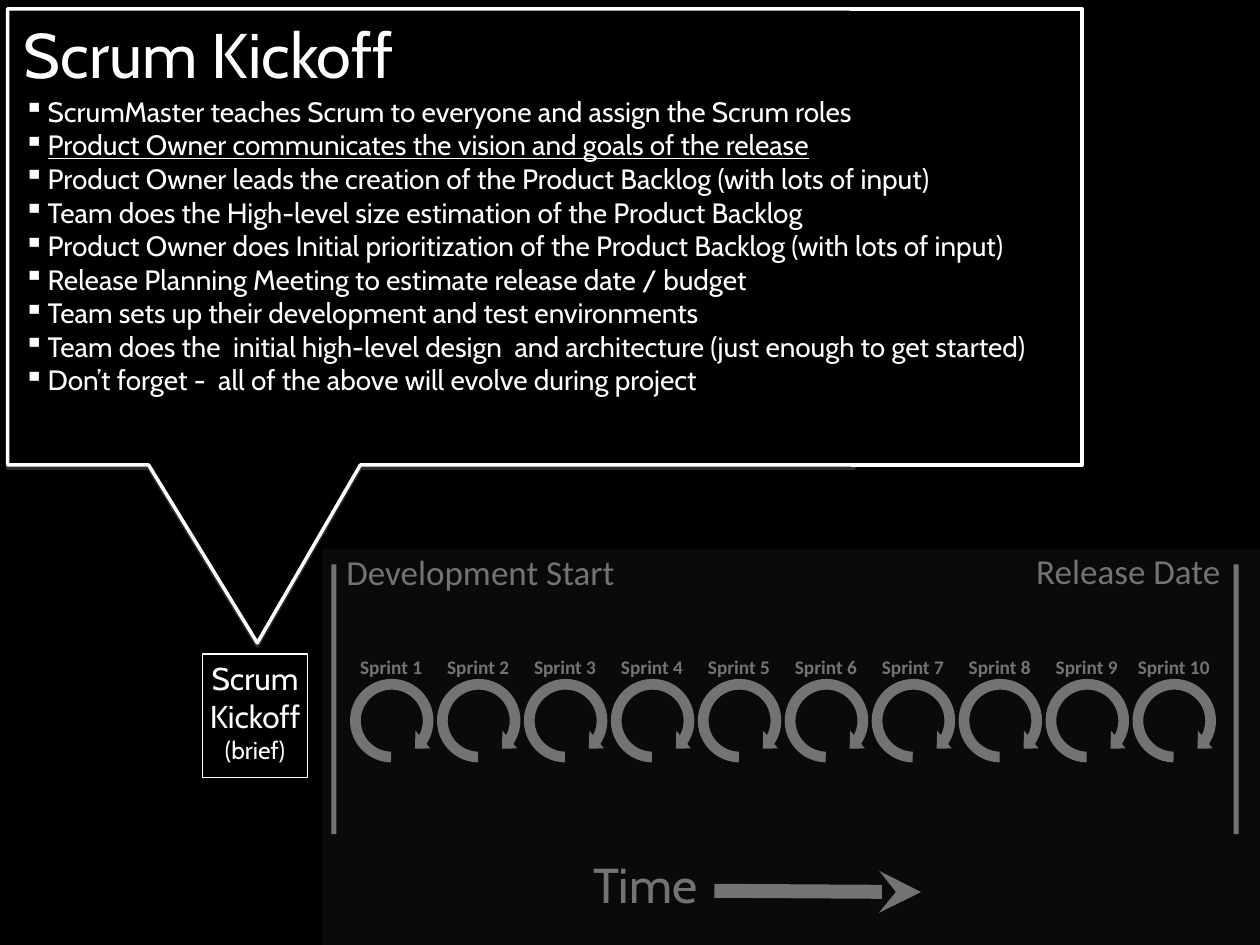
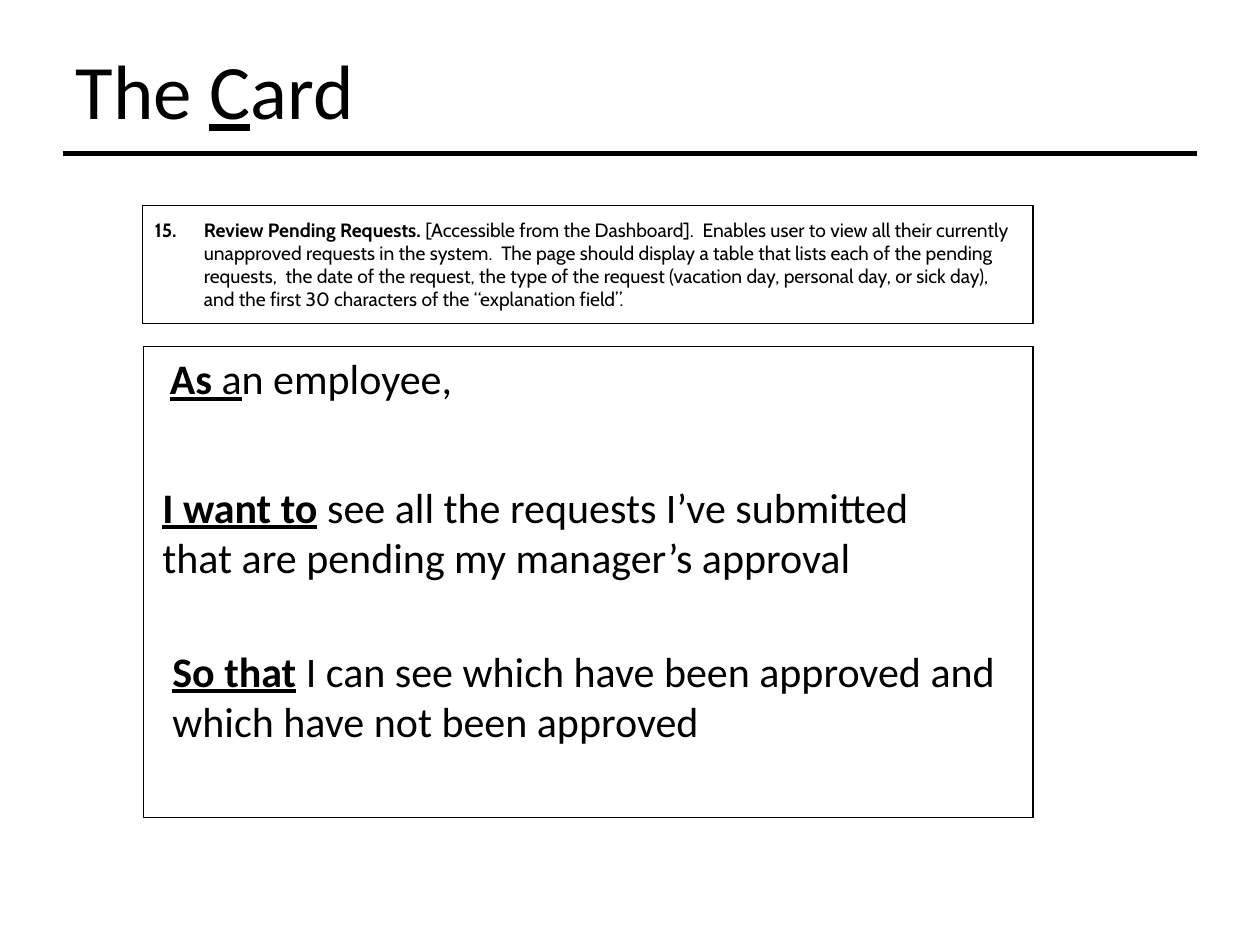
from dataclasses import dataclass

from lxml.etree import SubElement
from pptx import Presentation
from pptx.dml.color import RGBColor
from pptx.enum.shapes import MSO_CONNECTOR as Connector, MSO_SHAPE as Shape
from pptx.enum.text import MSO_ANCHOR as Anchor, MSO_AUTO_SIZE as AutoSize, PP_ALIGN as Align
from pptx.oxml.ns import qn
from pptx.util import Inches, Pt


@dataclass(frozen=True)
class Theme:
    black: str = "000000"
    white: str = "FFFFFF"
    shadow: str = "808080"
    display: str = "Cabin"
    plain: str = "Calibri"
    card_title: int = 44
    title: int = 36
    time: int = 28
    story: int = 24
    milestone: int = 20
    stage: int = 18
    body: int = 16
    note: int = 14
    small: int = 11


THEME = Theme()
TITLE_ONLY = 5


class SlideBuilder:
    """Holds the theme, the deck and the current page."""

    def __init__(self, theme):
        self.theme = theme
        self.deck = Presentation()
        self.deck.slide_width, self.deck.slide_height = Inches(10), Inches(7.5)
        self.page = None
        self.ink = theme.black

    def new_page(self, background, ink):
        self.page = self.deck.slides.add_slide(self.deck.slide_layouts[TITLE_ONLY])
        self.page.background.fill.solid()
        self.page.background.fill.fore_color.rgb = RGBColor.from_string(background)
        self.ink = ink

    def title(self, area, spans, size, font, anchor):
        """Format the title placeholder and bring it to the front."""
        box = self.page.shapes.title
        box.left, box.top, box.width, box.height = map(Inches, area)
        self.page.shapes._spTree.append(box._element)
        self.fill_text(box, [spans], size, font, anchor=anchor)

    def shape(self, kind, area, fill=None, line=None, weight=0.75,
              adjust=(), opacity=None, shadow=False):
        shape = self.page.shapes.add_shape(kind, *map(Inches, area))
        for index, value in enumerate(adjust):
            shape.adjustments[index] = value
        if fill:
            shape.fill.solid()
            shape.fill.fore_color.rgb = RGBColor.from_string(fill)
        else:
            shape.fill.background()
        if opacity:
            color = shape._element.spPr.find(qn("a:solidFill"))[0]
            SubElement(color, qn("a:alpha"), val=str(opacity * 1000))
        if line:
            shape.line.color.rgb = RGBColor.from_string(line)
            shape.line.width = Pt(weight)
        else:
            shape.line.fill.background()
        shape.shadow.inherit = False
        if shadow:
            effects = shape._element.spPr.find(qn("a:effectLst"))
            outer = SubElement(effects, qn("a:outerShdw"), dist=str(Pt(1.8)),
                               dir="5400000", rotWithShape="0")
            color = SubElement(outer, qn("a:srgbClr"), val=self.theme.shadow)
            SubElement(color, qn("a:alpha"), val="35000")
        return shape

    def line(self, start, end, weight, arrow=None):
        line = self.page.shapes.add_connector(
            Connector.STRAIGHT, *map(Inches, (*start, *end)))
        line.line.color.rgb = RGBColor.from_string(self.ink)
        line.line.width = Pt(weight)
        properties = line._element.spPr
        if arrow:
            SubElement(properties.find(qn("a:ln")), qn("a:tailEnd"), type=arrow)
        SubElement(properties, qn("a:effectLst"))

    def text(self, area, paras, size, font, **style):
        box = self.page.shapes.add_textbox(*map(Inches, area))
        self.fill_text(box, paras, size, font, **style)

    def fill_text(self, box, paras, size, font, align=Align.LEFT, anchor=Anchor.TOP,
                  inset=None, hang=0, bullet=None):
        """Each paragraph is a list of (text, format) spans."""
        frame = box.text_frame
        frame.word_wrap = True
        frame.auto_size = AutoSize.NONE
        frame.vertical_anchor = anchor
        if inset:
            frame.margin_left = frame.margin_right = Inches(inset)
            frame.margin_top = frame.margin_bottom = Inches(inset)
        for index, spans in enumerate(paras):
            para = frame.paragraphs[0] if index == 0 else frame.add_paragraph()
            para.alignment = align
            if hang:
                properties = para._p.get_or_add_pPr()
                properties.set("marL", str(Inches(hang)))
                properties.set("indent", str(-Inches(hang)))
                if bullet:
                    SubElement(properties, qn("a:buChar"), char=bullet)
            for text, style in spans:
                span = para.add_run()
                span.text = text
                span.font.name = font
                span.font.size = Pt(style.get("size", size))
                span.font.bold = style.get("bold", False)
                span.font.underline = style.get("underline", False)
                span.font.color.rgb = RGBColor.from_string(self.ink)


PLAIN = {}
BOLD = {"bold": True}
UNDERLINED = {"underline": True}
KEYWORD = BOLD | UNDERLINED

KICKOFF_STEPS = [
    ("ScrumMaster teaches Scrum to everyone and assign the Scrum roles", PLAIN),
    ("Product Owner communicates the vision and goals of the release", UNDERLINED),
    ("Product Owner leads the creation of the Product Backlog (with lots of input)", PLAIN),
    ("Team does the High-level size estimation of the Product Backlog", PLAIN),
    ("Product Owner does Initial prioritization of the Product Backlog (with lots of input)", PLAIN),
    ("Release Planning Meeting to estimate release date / budget", PLAIN),
    ("Team sets up their development and test environments", PLAIN),
    ("Team does the  initial high-level design  and architecture (just enough to get started)", PLAIN),
    ("Don’t forget -  all of the above will evolve during project", PLAIN),
]

STORY_PARTS = [
    ((1.25, 2.75, 4.39, 0.91),
     [("As ", KEYWORD), ("a", UNDERLINED), ("n employee,", PLAIN)]),
    ((1.19, 3.77, 6.72, 0.91),
     [("I want to", KEYWORD),
      (" see all the requests I’ve submitted that are pending my manager’s approval", PLAIN)]),
    ((1.27, 5.07, 6.74, 1.31),
     [("So that", KEYWORD),
      (" I can see which have been approved and which have not been approved", PLAIN)]),
]

REQUIREMENT = [
    ("15. \tReview Pending Requests. ", BOLD),
    ("[Accessible from the Dashboard].  Enables user to view all their currently "
     "unapproved requests in the system.  The page should display a table that lists "
     "each of the pending requests,  the date of the request, the type of the request "
     "(vacation day, personal day, or sick day), and the first 30 characters of the "
     "“explanation field”.", PLAIN),
]


def build_kickoff(builder):
    theme = builder.theme
    builder.new_page(theme.black, theme.white)

    # Callout, widened by a second frame with the seam covered
    builder.shape(Shape.RECTANGULAR_CALLOUT, (0.06, 0.07, 6.72, 3.62), theme.black,
                  theme.white, 2, adjust=(-0.205, 0.89), shadow=True)
    builder.shape(Shape.RECTANGLE, (6.76, 0.07, 1.83, 3.62), line=theme.white, weight=2)
    builder.shape(Shape.RECTANGLE, (6.68, 0.09, 0.18, 3.58), theme.black, theme.black)

    # Time arrow
    builder.line((5.67, 7.07), (7.31, 7.08), 8, arrow="stealth")
    builder.text((4.61, 6.73, 1.06, 0.57), [[("Time", PLAIN)]], theme.time, theme.display)

    # Sprints
    for sprint in range(10):
        shift = 0.69 * sprint
        builder.text((2.68 + shift, 5.15, 0.85, 0.29), [[(f"Sprint {sprint + 1}", BOLD)]],
                     theme.small, theme.plain, align=Align.CENTER)
        builder.shape(Shape.CIRCULAR_ARROW, (2.73 + shift, 5.34, 0.76, 0.76), theme.white,
                      adjust=(0.112, 11.423, 18.81, 54.656, 0.12))

    # Milestones
    for label, area, bar_left, align in (
            ("Development Start", (2.65, 4.32, 2.71, 0.44), 2.63, Align.LEFT),
            ("Release Date", (7.94, 4.31, 2.03, 0.44), 9.79, Align.CENTER)):
        builder.text(area, [[(label, PLAIN)]], theme.milestone, theme.plain, align=align)
        builder.shape(Shape.RECTANGLE, (bar_left, 4.48, 0.04, 2.14), theme.white)

    # Callout text
    builder.title((0.09, 0.07, 8.59, 0.7), [("Scrum Kickoff", PLAIN)],
                  theme.title, theme.display, Anchor.TOP)
    builder.text((0.09, 0.7, 8.59, 2.6), [[step] for step in KICKOFF_STEPS],
                 theme.body, theme.display, hang=0.19, bullet="▪")

    # Kickoff stage
    stage = builder.shape(Shape.RECTANGLE, (1.61, 5.19, 0.83, 0.98), line=theme.white)
    builder.fill_text(stage, [[("Scrum", PLAIN)], [("Kickoff", PLAIN)],
                              [("(brief)", {"size": theme.note})]],
                      theme.stage, theme.display, align=Align.CENTER, inset=0.04)

    # Veil that dims the timeline
    builder.shape(Shape.RECTANGLE, (2.56, 4.33, 7.44, 3.17), theme.black,
                  opacity=50, shadow=True)


def build_card(builder):
    theme = builder.theme
    builder.new_page(theme.white, theme.black)

    # Title and rule
    builder.title((0.5, 0.08, 9, 1.25),
                  [("The ", PLAIN), ("C", UNDERLINED), ("ard", PLAIN)],
                  theme.card_title, theme.plain, Anchor.MIDDLE)
    builder.line((0.5, 1.22), (9.5, 1.22), 3)

    # Requirement
    requirement = builder.shape(Shape.RECTANGLE, (1.13, 1.63, 7.07, 0.94),
                                theme.white, theme.black)
    builder.fill_text(requirement, [REQUIREMENT], theme.small, theme.display,
                      anchor=Anchor.MIDDLE, inset=0.1, hang=0.39)

    # User story card
    for area, spans in STORY_PARTS:
        part = builder.shape(Shape.RECTANGLE, area, theme.white)
        builder.fill_text(part, [spans], theme.story, theme.plain)
    builder.shape(Shape.RECTANGLE, (1.14, 2.75, 7.06, 3.74), line=theme.black)


def main():
    builder = SlideBuilder(THEME)
    build_kickoff(builder)
    build_card(builder)
    builder.deck.save("out.pptx")


if __name__ == "__main__":
    main()
